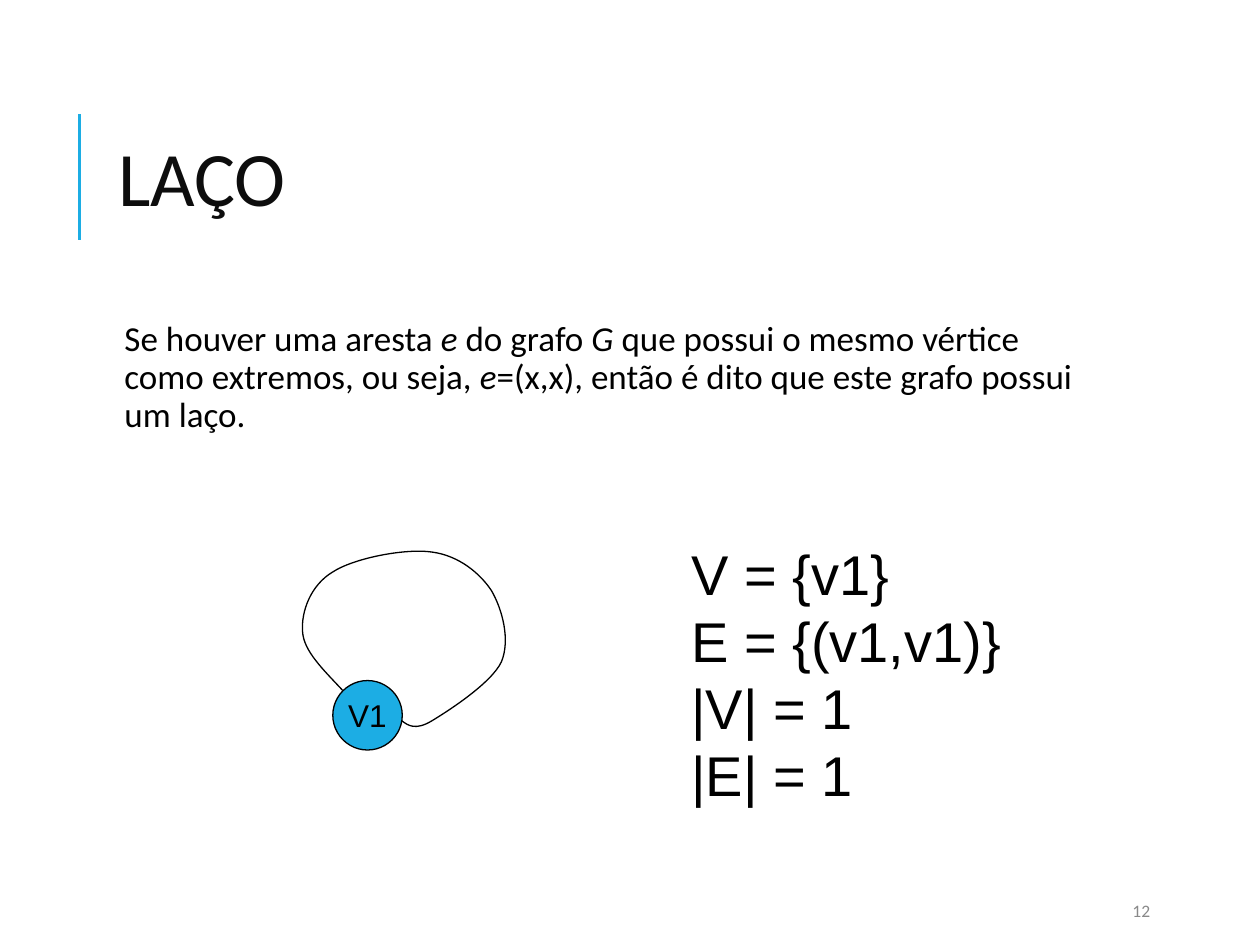
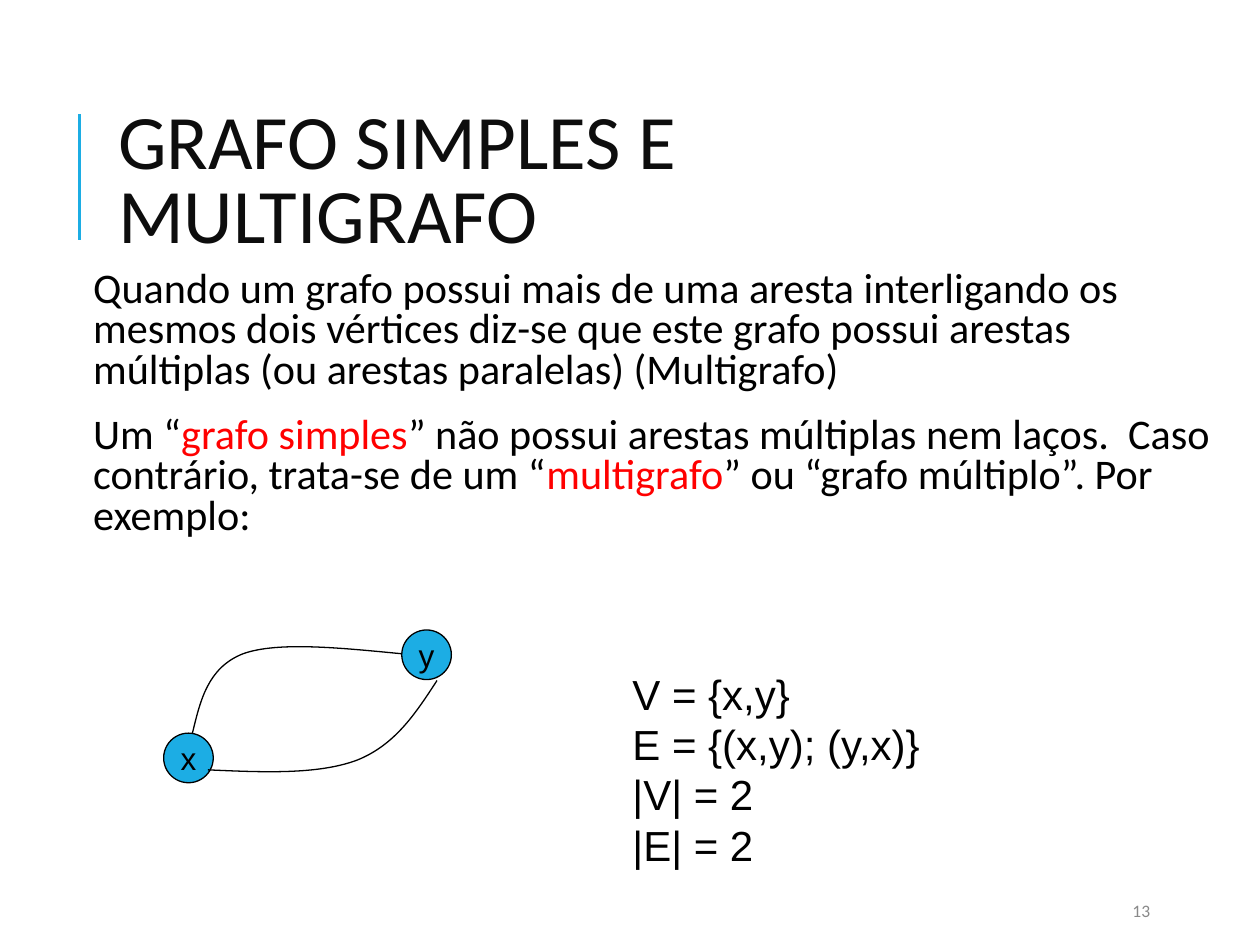
from lxml import etree
from pptx import Presentation
from pptx.dml.color import RGBColor
from pptx.enum.shapes import MSO_CONNECTOR, MSO_SHAPE
from pptx.enum.text import MSO_ANCHOR, MSO_AUTO_SIZE, PP_ALIGN
from pptx.oxml.ns import qn
from pptx.util import Cm, Pt

COLORS = {"accent": "1CADE4", "title": "0D0D0D", "text": "000000",
          "number": "898989", "highlight": "FF0000"}
HEADING_FONT, MATH_FONT = "Calibri", "Arial"
ITALIC = {"italic": True}
RED = {"color": "highlight"}


def rgb(name):
    return RGBColor.from_string(COLORS[name])


def put_text(tf, paragraphs, size, font=HEADING_FONT, color="text",
             align=PP_ALIGN.LEFT, anchor=MSO_ANCHOR.TOP, wrap=True,
             fit=MSO_AUTO_SIZE.NONE, inset=(0.25, 0.13), indent=0,
             spacing=1.0, before=0, after=0):
    """Fill a frame; each paragraph is a string or a list of strings and (text, format) runs."""
    tf.word_wrap, tf.auto_size, tf.vertical_anchor = wrap, fit, anchor
    tf.margin_left = tf.margin_right = Cm(inset[0])
    tf.margin_top = tf.margin_bottom = Cm(inset[1])
    for i, runs in enumerate(paragraphs):
        p = tf.add_paragraph() if i else tf.paragraphs[0]
        p.alignment, p.line_spacing = align, spacing
        p.space_before, p.space_after = Pt(before if i else 0), Pt(after)
        if indent:
            p._p.get_or_add_pPr().set("marL", str(Cm(indent)))
        for run in [runs] if isinstance(runs, str) else runs:
            text, fmt = (run, {}) if isinstance(run, str) else run
            r = p.add_run()
            r.text = text
            r.font.name, r.font.size = font, Pt(size)
            r.font.italic = fmt.get("italic")
            r.font.color.rgb = rgb(fmt.get("color", color))


def add_text(slide, box, paragraphs, size, **fmt):
    sp = slide.shapes.add_textbox(*map(Cm, box))
    put_text(sp.text_frame, paragraphs, size, **fmt)


def add_body(slide, box, paragraphs, size, spacing):
    add_text(slide, box, paragraphs, size, spacing=spacing, before=12, after=2,
             inset=(0.13, 0.13), indent=0.25)


def add_facts(slide, box, facts, size):
    add_text(slide, box, facts, size, font=MATH_FONT, wrap=False,
             fit=MSO_AUTO_SIZE.SHAPE_TO_FIT_TEXT)


def add_vertex(slide, x, y, diameter, label):
    sp = slide.shapes.add_shape(MSO_SHAPE.OVAL, Cm(x), Cm(y), Cm(diameter), Cm(diameter))
    sp.shadow.inherit = False
    sp.fill.solid()
    sp.fill.fore_color.rgb = rgb("accent")
    sp.line.color.rgb, sp.line.width = rgb("text"), Pt(0.75)
    put_text(sp.text_frame, [label], 18, font=MATH_FONT, align=PP_ALIGN.CENTER,
             anchor=MSO_ANCHOR.MIDDLE, wrap=False)


def add_edge(slide, points):
    """Draw a Bézier edge: a start, then two control points and an end per curve."""
    start, *rest = [(Cm(x), Cm(y)) for x, y in points]
    builder = slide.shapes.build_freeform(*start)
    builder.add_line_segments(rest, close=False)
    sp = builder.convert_to_shape()
    lines = list(sp._element.iter(qn("a:lnTo")))
    for i in range(0, len(lines), 3):
        curve = etree.Element(qn("a:cubicBezTo"))
        lines[i].addprevious(curve)
        for line in lines[i:i + 3]:
            curve.append(line[0])
            line.getparent().remove(line)
    sp.shadow.inherit = False
    sp.fill.background()
    sp.line.color.rgb, sp.line.width = rgb("text"), Pt(0.75)


def add_graph(slide, left, top, diameter, vertices, edges):
    for label, (x, y) in vertices.items():
        add_vertex(slide, left + x, top + y, diameter, label)
    for points in edges:
        add_edge(slide, [(left + x, top + y) for x, y in points])


def new_slide(prs, title, number):
    slide = prs.slides.add_slide(prs.slide_layouts[5])
    bar = slide.shapes.add_connector(MSO_CONNECTOR.STRAIGHT, Cm(1.6), Cm(4.83), Cm(1.6), Cm(2.29))
    bar.line.color.rgb, bar.line.width = rgb("accent"), Pt(1.5)
    etree.SubElement(bar._element.spPr, qn("a:effectLst"))
    sp = slide.shapes.title
    sp.left, sp.top, sp.width, sp.height = map(Cm, (2.13, 1.63, 20.24, 4.17))
    put_text(sp.text_frame, [title], 44, color="title", anchor=MSO_ANCHOR.MIDDLE, spacing=0.8)
    add_text(slide, (22.58, 17.98, 2.03, 0.76), [str(number)], 10, color="number",
             anchor=MSO_ANCHOR.MIDDLE)
    return slide


def build_loop_slide(prs):
    slide = new_slide(prs, "LAÇO", 12)
    add_body(slide, (2.13, 6.35, 20.24, 11.18), [[
        "Se houver uma aresta ", ("e ", ITALIC), "do grafo ", ("G ", ITALIC),
        "que possui o mesmo vértice como extremos, ou seja, ", ("e", ITALIC),
        "=(x,x), então é dito que este grafo possui um laço."]], 20, 0.9)
    loop = [(0.84, 2.87),
            (0.46, 2.46), (0.05, 2.08), (0.03, 1.68),
            (0, 1.27), (0.2, 0.74), (0.64, 0.48),
            (1.07, 0.2), (2.11, 0), (2.64, 0.08),
            (3.18, 0.15), (3.61, 0.51), (3.84, 0.86),
            (4.06, 1.24), (4.22, 1.85), (4.04, 2.29),
            (3.84, 2.72), (2.97, 3.28), (2.64, 3.48),
            (2.31, 3.68), (2.16, 3.58), (2.03, 3.48)]
    add_graph(slide, 6.07, 11.05, 1.4, {"V1": (0.64, 2.67)}, [loop])
    add_facts(slide, (13.69, 10.74, 6.76, 5.69),
              ["V = {v1}", "E = {(v1,v1)}", "|V| = 1", "|E| = 1"], 32)


def build_multigraph_slide(prs):
    slide = new_slide(prs, "GRAFO SIMPLES E MULTIGRAFO", 13)
    add_body(slide, (1.5, 5.33, 23.6, 6.78), [
        "Quando um grafo possui mais de uma aresta interligando os mesmos dois vértices "
        "diz-se que este grafo possui arestas múltiplas (ou arestas paralelas) (Multigrafo)",
        ["Um “", ("grafo simples", RED),
         "” não possui arestas múltiplas nem laços.  Caso contrário, trata-se de um “",
         ("multigrafo", RED), "” ou “grafo múltiplo”. Por exemplo:"]], 24.1, 0.8)
    upper = [(0.58, 2.08),
             (0.74, 1.42), (0.89, 0.76), (1.6, 0.48),
             (2.29, 0.23), (3.56, 0.36), (4.8, 0.48)]
    lower = [(5.51, 1.02),
             (5.08, 1.68), (4.67, 2.31), (3.91, 2.62),
             (3.12, 2.92), (2.01, 2.87), (0.89, 2.82)]
    add_graph(slide, 3.3, 12.7, 1, {"x": (0, 2.08), "y": (4.8, 0)}, [upper, lower])
    add_facts(slide, (12.5, 13.34, 6.35, 4.32),
              ["V = {x,y}", "E = {(x,y); (y,x)}", "|V| = 2", "|E| = 2"], 24)


def main():
    prs = Presentation()
    prs.slide_width, prs.slide_height = Cm(25.4), Cm(19.05)
    build_loop_slide(prs)
    build_multigraph_slide(prs)
    prs.save("out.pptx")


if __name__ == "__main__":
    main()
